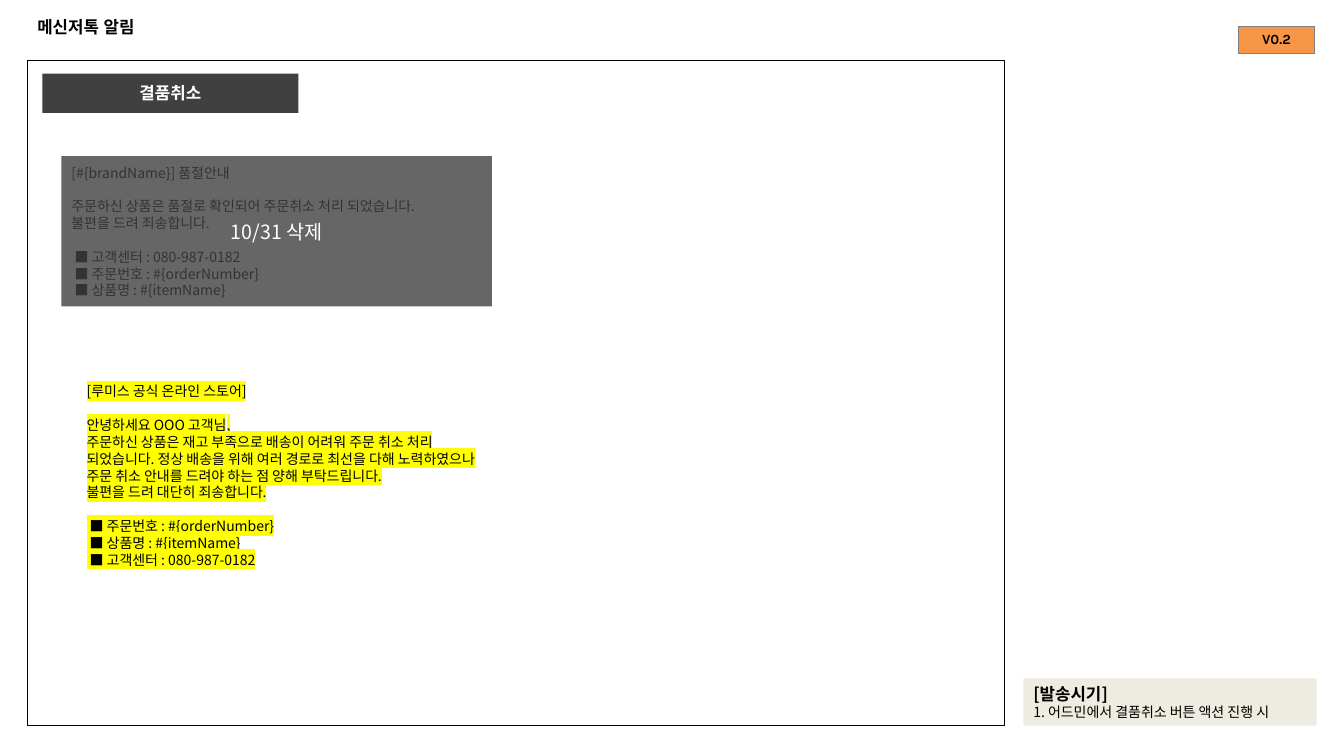
from dataclasses import dataclass

from lxml import etree
from pptx import Presentation
from pptx.dml.color import RGBColor
from pptx.enum.shapes import MSO_SHAPE
from pptx.enum.text import MSO_ANCHOR, MSO_AUTO_SIZE, PP_ALIGN
from pptx.oxml.ns import qn
from pptx.util import Inches, Pt

RECT = MSO_SHAPE.RECTANGLE
TOP, MIDDLE = MSO_ANCHOR.TOP, MSO_ANCHOR.MIDDLE
LEFT, CENTER = PP_ALIGN.LEFT, PP_ALIGN.CENTER
GROW, FIXED = MSO_AUTO_SIZE.SHAPE_TO_FIT_TEXT, MSO_AUTO_SIZE.NONE
TITLE_ONLY = 5

# Content: each message is a list of blocks, set apart by paragraph spacing
TITLE = "메신저톡 알림"
SECTION = "결품취소"
VERSION = "V0.2"
DELETED = "10/31 삭제"
OLD_MESSAGE = [
    ["[#{brandName}] 품절안내"],
    ["주문하신 상품은 품절로 확인되어 주문취소 처리 되었습니다.",
     "불편을 드려 죄송합니다."],
    [" ■ 고객센터 : 080-987-0182",
     " ■ 주문번호 : #{orderNumber}",
     " ■ 상품명 : #{itemName}"],
]
NEW_MESSAGE = [
    ["[루미스 공식 온라인 스토어]"],
    ["안녕하세요 OOO 고객님,",
     "주문하신 상품은 재고 부족으로 배송이 어려워 주문 취소 처리 되었습니다. "
     "정상 배송을 위해 여러 경로로 최선을 다해 노력하였으나 "
     "주문 취소 안내를 드려야 하는 점 양해 부탁드립니다.",
     "불편을 드려 대단히 죄송합니다."],
    [" ■ 주문번호 : #{orderNumber}",
     " ■ 상품명 : #{itemName}",
     " ■ 고객센터 : 080-987-0182"],
]
TIMING_HEAD = "[발송시기]"
TIMING_STEP = "1. 어드민에서 결품취소 버튼 액션 진행 시"

# Left, top, width and height in cells of a grid
CELL = 0.1
AREAS = {
    "title": (2.7, 0.7, 127.9, 3.9),
    "frame": (2.7, 6, 96.9, 66),
    "section": (4.2, 7.3, 25.4, 3.9),
    "old": (6.1, 15.8, 41.2, 14.5),
    "deleted": (6.1, 15.5, 42.7, 14.9),
    "new": (7.6, 37.5, 41.2, 21.2),
    "version": (122.8, 2.6, 7.6, 2.7),
    "timing": (101.5, 67.3, 29.1, 4.7),
}


@dataclass(frozen=True)
class Theme:
    heading: str = "Arial"
    body: str = "Noto Sans CJK KR"
    badge: str = "Karla"
    ink: str = "000000"
    paper: str = "FFFFFF"
    dark: str = "404040"
    marker: str = "FFFF00"
    orange: str = "F79646"
    border: str = "7F7F7F"
    note: str = "EEECE1"
    small: int = 10
    medium: int = 12
    large: int = 14
    block_gap: int = 12
    veil_alpha: int = 80


THEME = Theme()
HEADING = {"name": THEME.heading, "size": Pt(THEME.medium), "bold": True}
BODY = {"name": THEME.body, "size": Pt(THEME.small), "bold": False}
NOTE_HEAD = {**BODY, "size": Pt(THEME.medium), "bold": True}
STAMP = {**BODY, "size": Pt(THEME.large)}
BADGE = {"name": THEME.badge, "size": Pt(THEME.small), "bold": True}


def place(area):
    return [Inches(cells * CELL) for cells in AREAS[area]]


def paint(fill, color):
    fill.solid()
    fill.fore_color.rgb = RGBColor.from_string(color)


def write(paragraph, text, style, color=THEME.ink, align=LEFT, highlight=None):
    paragraph.alignment = align
    run = paragraph.add_run()
    run.text = text
    for attribute, value in style.items():
        setattr(run.font, attribute, value)
    run.font.color.rgb = RGBColor.from_string(color)
    props = run.font._element
    east_asian = etree.Element(qn("a:ea"), typeface=style["name"])
    props.find(qn("a:latin")).addnext(east_asian)
    if highlight:
        marker = etree.Element(qn("a:highlight"))
        etree.SubElement(marker, qn("a:srgbClr"), val=highlight)
        props.find(qn("a:solidFill")).addnext(marker)


def set_frame(frame, anchor, auto_size=FIXED):
    frame.word_wrap = True
    frame.vertical_anchor = anchor
    frame.auto_size = auto_size
    return frame


def add_box(slide, area, fill=None, line=None):
    box = slide.shapes.add_shape(RECT, *place(area))
    box.shadow.inherit = False
    if fill:
        paint(box.fill, fill)
    else:
        box.fill.background()
    if line:
        paint(box.line.fill, line)
        box.line.width = Pt(0.75)
    else:
        box.line.fill.background()
    return box


def add_label(slide, area, text, style):
    box = add_box(slide, area, THEME.dark)
    frame = set_frame(box.text_frame, MIDDLE)
    write(frame.paragraphs[0], text, style, THEME.paper, CENTER)
    return box


def add_message(slide, area, blocks, highlight=None):
    frame = set_frame(slide.shapes.add_textbox(*place(area)).text_frame, TOP, GROW)
    paragraph = frame.paragraphs[0]
    for block_no, block in enumerate(blocks):
        for line_no, text in enumerate(block):
            if block_no or line_no:
                paragraph = frame.add_paragraph()
            if block_no and not line_no:
                paragraph.space_before = Pt(THEME.block_gap)
            write(paragraph, text, BODY, highlight=highlight)


def add_version(slide):
    table = slide.shapes.add_table(1, 1, *place("version")).table
    cell = table.cell(0, 0)
    for side in ("left", "right", "top", "bottom"):
        setattr(cell, f"margin_{side}", 0)
    cell.vertical_anchor = MIDDLE
    write(cell.text_frame.paragraphs[0], VERSION, BADGE, align=CENTER)
    props = cell._tc.get_or_add_tcPr()
    for edge in ("lnL", "lnR", "lnT", "lnB"):
        border = etree.SubElement(props, qn(f"a:{edge}"), w=str(Pt(1)))
        fill = etree.SubElement(border, qn("a:solidFill"))
        etree.SubElement(fill, qn("a:srgbClr"), val=THEME.border)
    paint(cell.fill, THEME.orange)


def add_timing(slide):
    box = add_box(slide, "timing", THEME.note)
    frame = set_frame(box.text_frame, TOP, GROW)
    write(frame.paragraphs[0], TIMING_HEAD, NOTE_HEAD)
    write(frame.add_paragraph(), TIMING_STEP, BODY)


def main():
    deck = Presentation()
    deck.slide_width, deck.slide_height = Inches(13.33), Inches(7.5)
    slide = deck.slides.add_slide(deck.slide_layouts[TITLE_ONLY])

    title = slide.shapes.title
    title.left, title.top, title.width, title.height = place("title")
    write(set_frame(title.text_frame, MIDDLE).paragraphs[0], TITLE, HEADING)

    add_box(slide, "frame", line=THEME.ink)
    add_label(slide, "section", SECTION, HEADING)
    add_message(slide, "old", OLD_MESSAGE)
    add_message(slide, "new", NEW_MESSAGE, THEME.marker)
    add_version(slide)
    veil = add_label(slide, "deleted", DELETED, STAMP)
    veil_color = veil.fill._xPr.find(qn("a:solidFill"))[0]
    etree.SubElement(veil_color, qn("a:alpha"), val=str(THEME.veil_alpha * 1000))
    add_timing(slide)
    deck.save("out.pptx")


if __name__ == "__main__":
    main()
